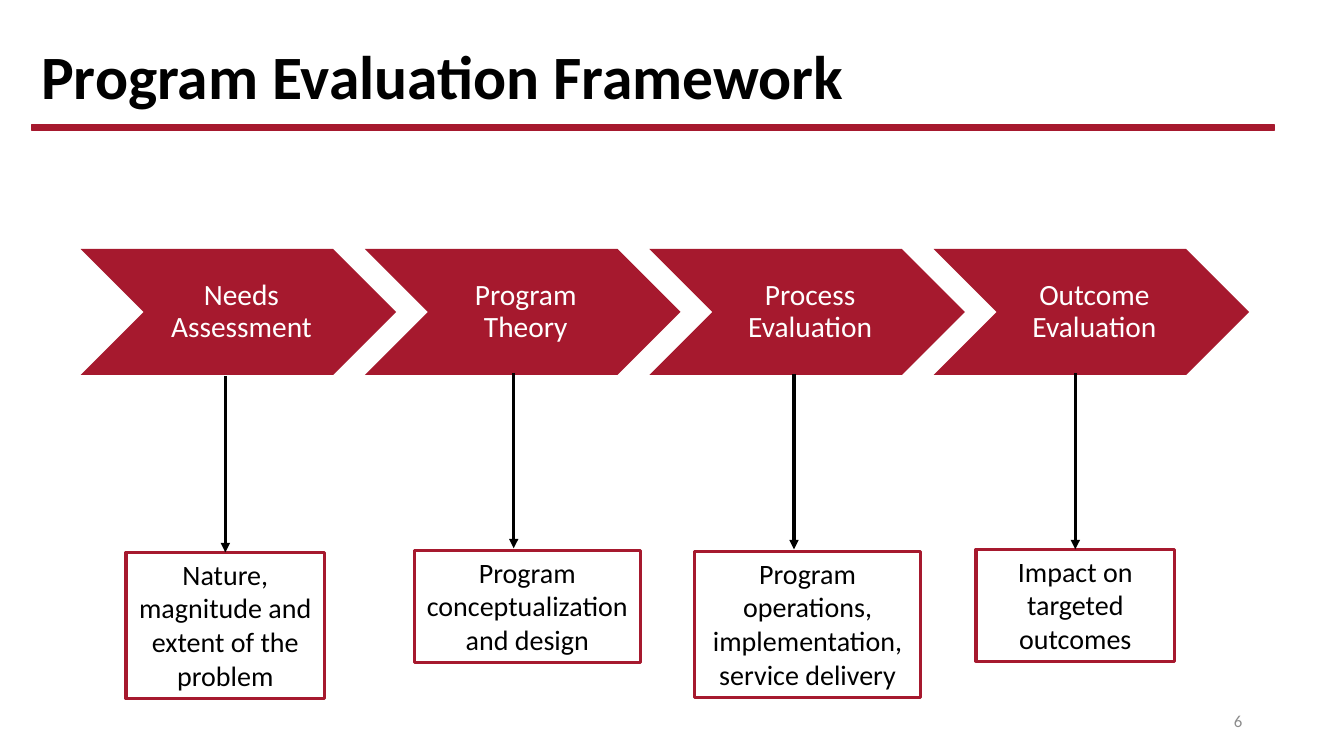
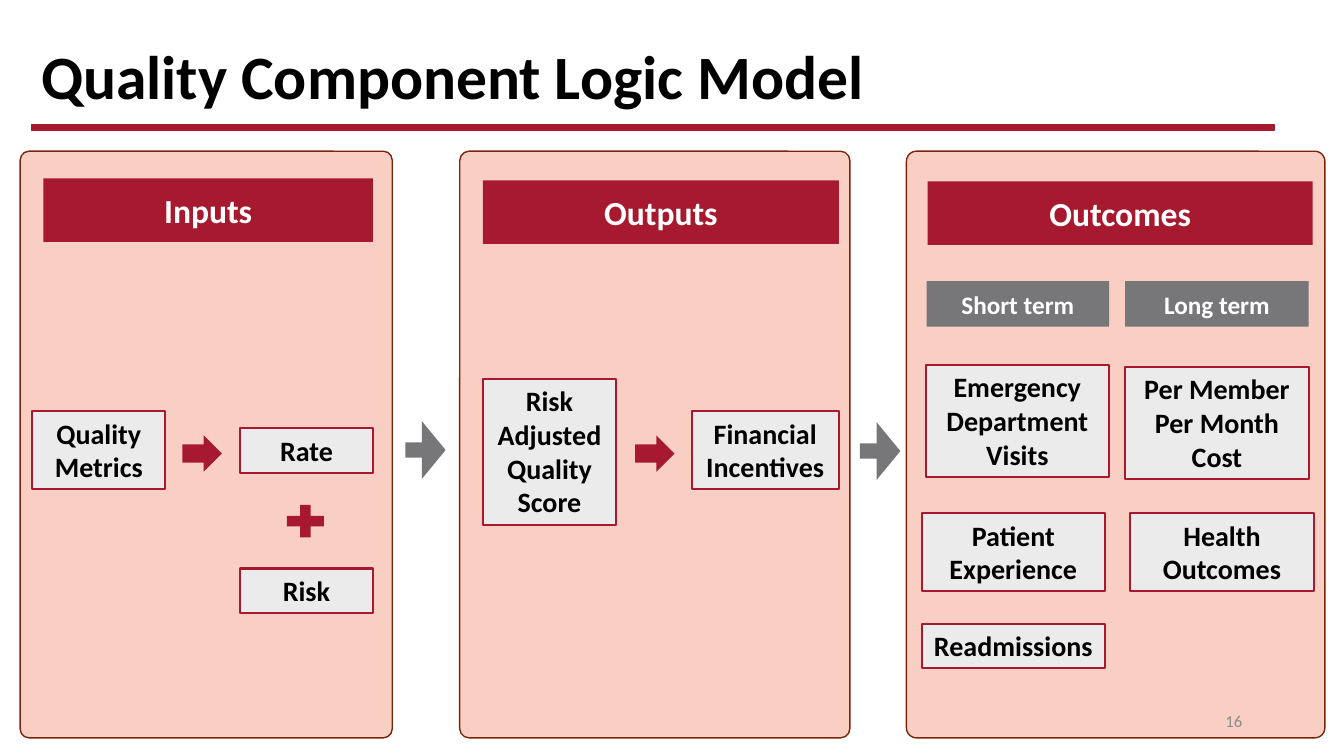
from dataclasses import dataclass
from typing import NamedTuple

from lxml.etree import SubElement
from pptx import Presentation
from pptx.dml.color import RGBColor
from pptx.enum.shapes import MSO_CONNECTOR, MSO_SHAPE
from pptx.enum.text import MSO_ANCHOR, PP_ALIGN
from pptx.oxml.ns import qn
from pptx.shapes.autoshape import Shape
from pptx.slide import Slide
from pptx.text.text import TextFrame
from pptx.util import Inches, Pt


@dataclass(frozen=True)
class Theme:
    font: str = "Calibri"
    red: RGBColor = RGBColor(0xA6, 0x19, 0x2E)
    gray: RGBColor = RGBColor(0x77, 0x77, 0x79)
    light_gray: RGBColor = RGBColor(0xEB, 0xEB, 0xEB)
    pink: RGBColor = RGBColor(0xF9, 0xCF, 0xC3)
    brown: RGBColor = RGBColor(0x7A, 0x24, 0x0B)
    number_gray: RGBColor = RGBColor(0x8C, 0x8C, 0x8C)
    black: RGBColor = RGBColor(0, 0, 0)
    white: RGBColor = RGBColor(0xFF, 0xFF, 0xFF)
    title_size: int = 44
    heading_size: int = 24
    stage_size: int = 21
    body_size: int = 20
    term_size: int = 18
    number_size: int = 12


THEME = Theme()


class Area(NamedTuple):
    left: float
    top: float
    width: float
    height: float


@dataclass(frozen=True)
class Stage:
    name: str
    detail: str
    box: Area
    arrow_top: float


@dataclass(frozen=True)
class Label:
    text: str
    area: Area


@dataclass(frozen=True)
class Symbol:
    kind: MSO_SHAPE
    area: Area
    color: RGBColor
    adjustments: tuple[float, ...] = ()


CHEVRON = Area(0.8, 2.47, 3.13, 1.25)
CHEVRON_PITCH = 2.82
NARROW_BOX = 1.97
WIDE_BOX = 2.24
ARROW_OFFSET = NARROW_BOX / 2
ARROW_GAP = 0.02

STAGES = [
    Stage("Needs Assessment", "Nature, magnitude and extent of the problem",
          Area(1.25, 5.48, NARROW_BOX, 1.45), 3.73),
    Stage("Program Theory", "Program conceptualization and design",
          Area(4.11, 5.46, WIDE_BOX, 1.11), 3.7),
    Stage("Process Evaluation", "Program operations, implementation, service delivery",
          Area(6.89, 5.47, WIDE_BOX, 1.45), 3.71),
    Stage("Outcome Evaluation", "Impact on targeted outcomes",
          Area(9.68, 5.45, NARROW_BOX, 1.11), 3.7),
]

PANELS = [Area(left, 1.5, width, 5.82)
          for left, width in ((0.2, 3.69), (4.56, 3.87), (8.99, 4.15))]

HEADINGS = [
    Label("Inputs", Area(0.43, 1.77, 3.27, 0.63)),
    Label("Outputs", Area(4.79, 1.79, 3.53, 0.63)),
    Label("Outcomes", Area(9.2, 1.8, 3.82, 0.63)),
]

TERMS = [
    Label("Short term", Area(9.19, 2.79, 1.81, 0.45)),
    Label("Long term", Area(11.16, 2.79, 1.82, 0.45)),
]

COMPONENTS = [
    Label("Quality Metrics", Area(0.32, 4.08, 1.32, 0.77)),
    Label("Rate", Area(2.38, 4.25, 1.32, 0.44)),
    Label("Risk", Area(2.38, 5.64, 1.32, 0.44)),
    Label("Risk Adjusted Quality Score", Area(4.79, 3.76, 1.32, 1.45)),
    Label("Financial Incentives", Area(6.86, 4.08, 1.46, 0.77)),
    Label("Emergency Department Visits", Area(9.18, 3.62, 1.82, 1.11)),
    Label("Patient Experience", Area(9.14, 5.09, 1.82, 0.77)),
    Label("Readmissions", Area(9.14, 6.19, 1.82, 0.44)),
    Label("Per Member Per Month Cost", Area(11.16, 3.64, 1.82, 1.11)),
    Label("Health Outcomes", Area(11.21, 5.09, 1.82, 0.77)),
]

PANEL_ARROW = (0.265, 0.585)

SYMBOLS = [
    Symbol(MSO_SHAPE.RIGHT_ARROW, Area(1.81, 4.32, 0.39, 0.36), THEME.red),
    Symbol(MSO_SHAPE.RIGHT_ARROW, Area(6.3, 4.32, 0.39, 0.36), THEME.red),
    Symbol(MSO_SHAPE.MATH_PLUS, Area(2.78, 4.95, 0.5, 0.44), THEME.red),
    Symbol(MSO_SHAPE.RIGHT_ARROW, Area(4.02, 4.18, 0.4, 0.57), THEME.gray, PANEL_ARROW),
    Symbol(MSO_SHAPE.RIGHT_ARROW, Area(8.53, 4.19, 0.4, 0.57), THEME.gray, PANEL_ARROW),
]


def write_text(
    frame: TextFrame,
    text: str,
    *,
    size: int = THEME.body_size,
    color: RGBColor = THEME.black,
    bold: bool = False,
    alignment: PP_ALIGN = PP_ALIGN.CENTER,
    anchor: MSO_ANCHOR = MSO_ANCHOR.MIDDLE,
    line_spacing: float = 1.0,
    margins: tuple[float, float, float, float] = (0.1, 0.05, 0.1, 0.05),
) -> None:
    frame.word_wrap = True
    frame.vertical_anchor = anchor
    left, top, right, bottom = margins
    frame.margin_left, frame.margin_top = Inches(left), Inches(top)
    frame.margin_right, frame.margin_bottom = Inches(right), Inches(bottom)
    paragraph = frame.paragraphs[0]
    paragraph.alignment = alignment
    paragraph.line_spacing = line_spacing
    run = paragraph.add_run()
    run.text = text
    run.font.name = THEME.font
    run.font.size = Pt(size)
    run.font.bold = bold
    run.font.color.rgb = color


def add_text_box(slide: Slide, area: Area) -> TextFrame:
    return slide.shapes.add_textbox(*map(Inches, area)).text_frame


def add_figure(
    slide: Slide,
    kind: MSO_SHAPE,
    area: Area,
    *,
    fill: RGBColor | None = None,
    line: RGBColor | None = None,
    line_width: float = 1,
    adjustments: tuple[float, ...] = (),
) -> Shape:
    shape = slide.shapes.add_shape(kind, *map(Inches, area))
    shape.shadow.inherit = False
    for index, value in enumerate(adjustments):
        shape.adjustments[index] = value
    if fill is None:
        shape.fill.background()
    else:
        shape.fill.solid()
        shape.fill.fore_color.rgb = fill
    if line is None:
        shape.line.fill.background()
    else:
        shape.line.color.rgb = line
        shape.line.width = Pt(line_width)
    return shape


def add_banner(slide: Slide, label: Label, fill: RGBColor, size: int) -> None:
    banner = add_figure(slide, MSO_SHAPE.RECTANGLE, label.area, fill=fill)
    write_text(banner.text_frame, label.text, size=size, color=THEME.white, bold=True)


def add_down_arrow(slide: Slide, stage: Stage, box: Shape) -> None:
    center = Inches(stage.box.left + ARROW_OFFSET)
    connector = slide.shapes.add_connector(
        MSO_CONNECTOR.STRAIGHT, center, Inches(stage.arrow_top),
        center, Inches(stage.box.top - ARROW_GAP))
    if stage.box.width == NARROW_BOX:
        connector.end_connect(box, 0)
    connector.line.color.rgb = THEME.black
    connector.line.width = Pt(2.25)
    properties = connector.element.spPr
    SubElement(properties.find(qn("a:ln")), qn("a:tailEnd"), type="triangle")
    SubElement(properties, qn("a:effectLst"))


def add_stage(slide: Slide, index: int, stage: Stage) -> None:
    area = CHEVRON._replace(left=CHEVRON.left + index * CHEVRON_PITCH)
    chevron = add_figure(slide, MSO_SHAPE.CHEVRON, area, fill=THEME.red)
    write_text(chevron.text_frame, stage.name, size=THEME.stage_size, color=THEME.white,
               line_spacing=0.9, margins=(0.09, 0.03, 0.03, 0.03))
    box = add_figure(slide, MSO_SHAPE.RECTANGLE, stage.box, line=THEME.red, line_width=2.25)
    write_text(box.text_frame, stage.detail, anchor=MSO_ANCHOR.TOP)
    add_down_arrow(slide, stage, box)


def add_frame(slide: Slide, title: str, number: int) -> None:
    write_text(add_text_box(slide, Area(0.31, 0.33, 11.5, 0.91)), title,
               size=THEME.title_size, bold=True, alignment=PP_ALIGN.LEFT, line_spacing=0.9)
    add_figure(slide, MSO_SHAPE.RECTANGLE, Area(0.31, 1.24, 12.33, 0.05),
               fill=THEME.red, line=THEME.red)
    write_text(add_text_box(slide, Area(9.42, 6.95, 3, 0.4)), str(number),
               size=THEME.number_size, color=THEME.number_gray, alignment=PP_ALIGN.RIGHT)


def build_framework(slide: Slide) -> None:
    add_frame(slide, "Program Evaluation Framework", 6)
    for index, stage in enumerate(STAGES):
        add_stage(slide, index, stage)


def build_logic_model(slide: Slide) -> None:
    for panel in PANELS:
        add_figure(slide, MSO_SHAPE.ROUNDED_RECTANGLE, panel, fill=THEME.pink,
                   line=THEME.brown, adjustments=(0.024,))
    add_frame(slide, "Quality Component Logic Model", 16)
    for heading in HEADINGS:
        add_banner(slide, heading, THEME.red, THEME.heading_size)
    for term in TERMS:
        add_banner(slide, term, THEME.gray, THEME.term_size)
    for component in COMPONENTS:
        box = add_figure(slide, MSO_SHAPE.RECTANGLE, component.area, fill=THEME.light_gray,
                         line=THEME.red, line_width=1.5)
        write_text(box.text_frame, component.text, bold=True, anchor=MSO_ANCHOR.TOP)
    for symbol in SYMBOLS:
        add_figure(slide, symbol.kind, symbol.area, fill=symbol.color,
                   adjustments=symbol.adjustments)


def main() -> None:
    presentation = Presentation()
    presentation.slide_width = Inches(13.33)
    presentation.slide_height = Inches(7.5)
    blank_layout = presentation.slide_layouts[6]
    for build in (build_framework, build_logic_model):
        build(presentation.slides.add_slide(blank_layout))
    presentation.save("out.pptx")


if __name__ == "__main__":
    main()
